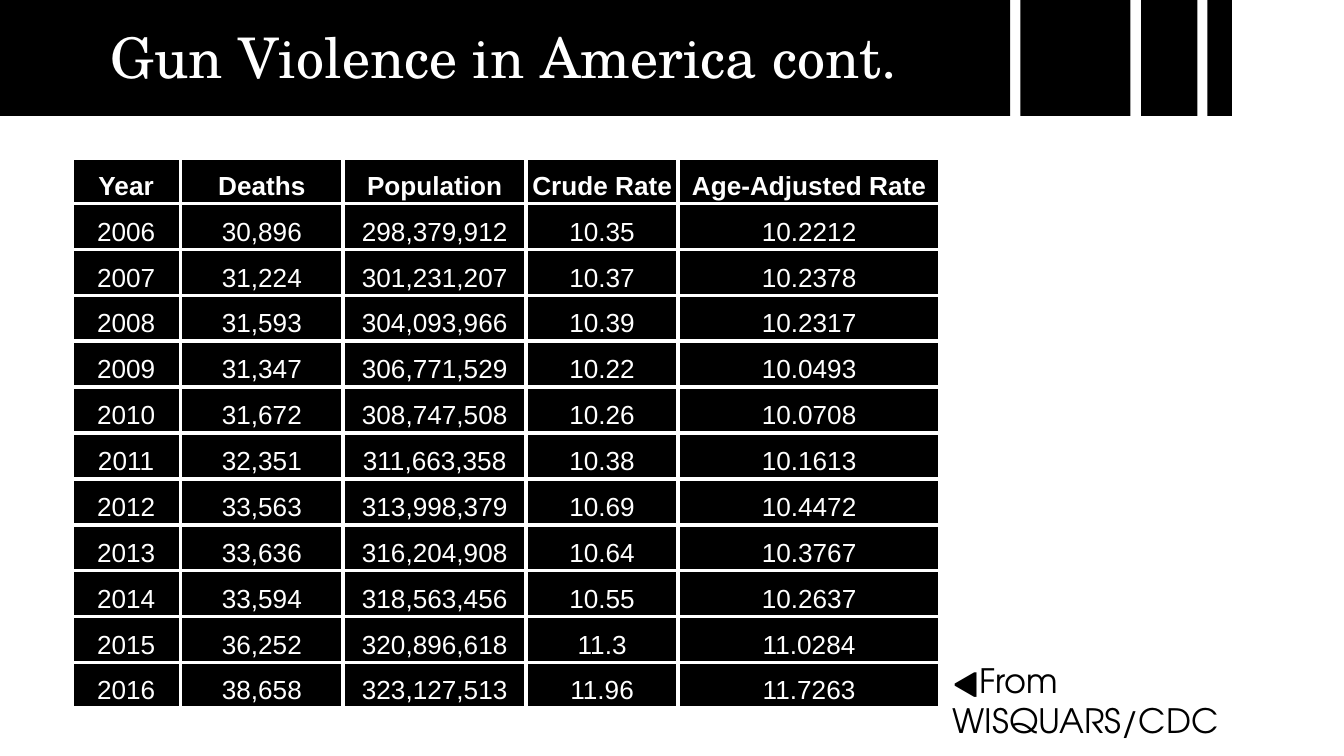
from dataclasses import dataclass

from lxml import etree
from pptx import Presentation
from pptx.dml.color import RGBColor
from pptx.enum.shapes import MSO_SHAPE
from pptx.enum.text import MSO_ANCHOR, PP_ALIGN
from pptx.oxml.ns import qn
from pptx.shapes.autoshape import Shape
from pptx.slide import Slide
from pptx.table import _Cell
from pptx.text.text import TextFrame
from pptx.util import Pt

RECTANGLE = MSO_SHAPE.RECTANGLE
LEFT, CENTER = PP_ALIGN.LEFT, PP_ALIGN.CENTER
TOP, BOTTOM = MSO_ANCHOR.TOP, MSO_ANCHOR.BOTTOM


@dataclass(frozen=True)
class Theme:
    black: str = "000000"
    white: str = "FFFFFF"
    title_font: str = "TeX Gyre Schola"
    note_font: str = "TeX Gyre Adventor"
    table_font: str = "Arial"
    title_size: float = 30
    note_size: float = 18
    table_size: float = 14
    border_width: float = 2.25


@dataclass(frozen=True)
class Box:
    left: float
    top: float
    width: float
    height: float

    def lengths(self) -> tuple[Pt, Pt, Pt, Pt]:
        return Pt(self.left), Pt(self.top), Pt(self.width), Pt(self.height)


THEME = Theme()
SLIDE_WIDTH, SLIDE_HEIGHT = 720, 405
BAND_HEIGHT = 62.2
BAND_SPANS = [(0, 541.2), (546.6, 59), (611.3, 30.2), (646.8, 13.2)]
TITLE_BOX = Box(2.9, 5, 534.2, 36.7)
NOTE_BOX = Box(503.3, 346.3, 181.4, 33.1)
TABLE_LEFT, TABLE_TOP, ROW_HEIGHT = 38.5, 84.5, 24.6
COLUMN_WIDTHS = [58.2, 87.2, 98, 81.4, 140.4]
TABLE_ROWS = [
    ("Year", "Deaths", "Population", "Crude Rate", "Age-Adjusted Rate"),
    ("2006", "30,896", "298,379,912", "10.35", "10.2212"),
    ("2007", "31,224", "301,231,207", "10.37", "10.2378"),
    ("2008", "31,593", "304,093,966", "10.39", "10.2317"),
    ("2009", "31,347", "306,771,529", "10.22", "10.0493"),
    ("2010", "31,672", "308,747,508", "10.26", "10.0708"),
    ("2011", "32,351", "311,663,358", "10.38", "10.1613"),
    ("2012", "33,563", "313,998,379", "10.69", "10.4472"),
    ("2013", "33,636", "316,204,908", "10.64", "10.3767"),
    ("2014", "33,594", "318,563,456", "10.55", "10.2637"),
    ("2015", "36,252", "320,896,618", "11.3", "11.0284"),
    ("2016", "38,658", "323,127,513", "11.96", "11.7263"),
]


def write_text(frame: TextFrame, text: str, *, font: str, size: float, color: str,
               bold: bool = False, align: PP_ALIGN = LEFT, spacing: float = 1.0) -> None:
    paragraph = frame.paragraphs[0]
    paragraph.alignment = align
    paragraph.line_spacing = spacing
    run = paragraph.add_run()
    run.text = text
    run.font.name = font
    run.font.size = Pt(size)
    run.font.bold = bold
    run.font.color.rgb = RGBColor.from_string(color)


def prepare_frame(frame: TextFrame, inset: float) -> None:
    frame.word_wrap = True
    frame.vertical_anchor = TOP
    frame.margin_left = frame.margin_right = Pt(inset)
    frame.margin_top = frame.margin_bottom = Pt(inset)


def add_rectangle(slide: Slide, box: Box) -> Shape:
    shape = slide.shapes.add_shape(RECTANGLE, *box.lengths())
    shape.shadow.inherit = False
    shape.fill.solid()
    shape.fill.fore_color.rgb = RGBColor.from_string(THEME.black)
    shape.line.fill.background()
    return shape


def add_title(slide: Slide) -> None:
    shape = add_rectangle(slide, TITLE_BOX)
    shape.line.color.rgb = RGBColor.from_string(THEME.black)
    shape.line.width = Pt(0.75)
    prepare_frame(shape.text_frame, 7.2)
    write_text(shape.text_frame, "Gun Violence in America cont.", font=THEME.title_font,
               size=THEME.title_size, color=THEME.white, align=CENTER)


def add_note(slide: Slide) -> None:
    frame = slide.shapes.add_textbox(*NOTE_BOX.lengths()).text_frame
    prepare_frame(frame, 7.2)
    write_text(frame, "◀From WISQUARS/CDC", font=THEME.note_font,
               size=THEME.note_size, color=THEME.black)


def style_cell(cell: _Cell) -> None:
    properties = cell._tc.get_or_add_tcPr()
    for side in ("a:lnL", "a:lnR", "a:lnT", "a:lnB"):
        line = etree.SubElement(properties, qn(side), w=str(Pt(THEME.border_width)))
        fill = etree.SubElement(line, qn("a:solidFill"))
        etree.SubElement(fill, qn("a:srgbClr"), val=THEME.white)
    cell.fill.solid()
    cell.fill.fore_color.rgb = RGBColor.from_string(THEME.black)
    cell.vertical_anchor = BOTTOM
    cell.margin_left = cell.margin_right = Pt(2.16)
    cell.margin_top = cell.margin_bottom = Pt(1.44)


def add_death_table(slide: Slide) -> None:
    box = Box(TABLE_LEFT, TABLE_TOP, sum(COLUMN_WIDTHS), ROW_HEIGHT * len(TABLE_ROWS))
    table = slide.shapes.add_table(len(TABLE_ROWS), len(COLUMN_WIDTHS), *box.lengths()).table
    for column, width in zip(table.columns, COLUMN_WIDTHS):
        column.width = Pt(width)
    for row_index, values in enumerate(TABLE_ROWS):
        table.rows[row_index].height = Pt(ROW_HEIGHT)
        for column_index, value in enumerate(values):
            cell = table.cell(row_index, column_index)
            style_cell(cell)
            write_text(cell.text_frame, value, font=THEME.table_font, size=THEME.table_size,
                       color=THEME.white, bold=row_index == 0, align=CENTER, spacing=1.15)


def main() -> None:
    presentation = Presentation()
    presentation.slide_width = Pt(SLIDE_WIDTH)
    presentation.slide_height = Pt(SLIDE_HEIGHT)
    slide = presentation.slides.add_slide(presentation.slide_layouts[6])
    add_death_table(slide)
    for left, width in BAND_SPANS:
        add_rectangle(slide, Box(left, 0, width, BAND_HEIGHT))
    add_title(slide)
    add_note(slide)
    presentation.save("out.pptx")


if __name__ == "__main__":
    main()
